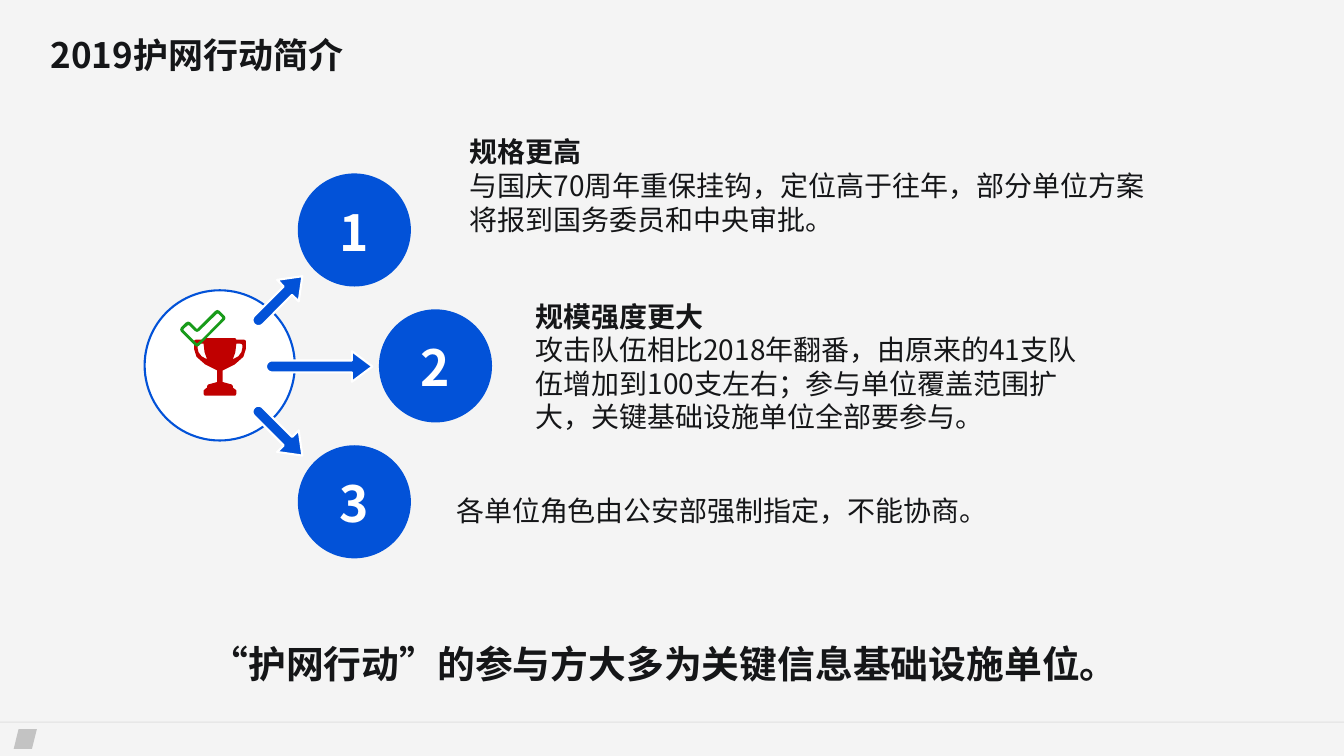
import math
from lxml import etree
from pptx import Presentation, util as u
from pptx.dml.color import RGBColor
from pptx.enum import shapes, text
from pptx.oxml.ns import qn

FONT = "Noto Sans CJK SC"
COLORS = {"background": "F4F4F4", "ink": "151618", "blue": "0252D8", "white": "FFFFFF",
          "red": "C00000", "green": "189B1A", "black": "000000"}

TITLE = "2019护网行动简介"
CONCLUSION = "“护网行动”的参与方大多为关键信息基础设施单位。"
POINTS = [
    {"circle_left": 15.01, "box": (23.22, 7.14, 35.86, 4.39), "heading": "规格更高", "heading_line": 48,
     "body": "与国庆70周年重保挂钩，定位高于往年，部分单位方案将报到国务委员和中央审批。", "body_line": 48},
    {"circle_left": 19.1, "box": (26.54, 15.7, 28.45, 4.67), "heading": "规模强度更大", "heading_line": 72,
     "body": "攻击队伍相比2018年翻番，由原来的41支队伍增加到100支左右；参与单位覆盖范围扩大，关键基础设施单位全部要参与。",
     "body_line": 48},
    {"circle_left": 15.01, "box": (22.53, 24.28, 30.15, 2.03), "heading": None,
     "body": "各单位角色由公安部强制指定，不能协商。", "body_line": 72},
]
CIRCLE_SIZE, CIRCLE_TOP, CIRCLE_STEP = 5.7, 8.74, 6.85
ARROWS = [(18.77, 18.47, 0, 5.36), (15.24, 22.96, 45, 3.43), (15.24, 13.92, -45, 3.43)]

CUP_UNIT = 0.0254
CUP_AXIS = 436.5
CUP_LEFT = [(407, 671), (405, 672), (404, 674), (389, 674), (386, 675), (385, 678), (385, 692),
            (390, 708), (407, 723), (431, 735), (431, 758), (413, 763), (411, 766), (411, 769),
            (407, 772), (404, 775), (404, 781), (405, 784), (407, 785)]
CUP_HANDLE = [(392, 690), (392, 685), (393, 683), (396, 682), (404, 682), (406, 699), (411, 713),
              (400, 707), (394, 699)]
TICK = [
    [(446, 635), (395, 686), (391, 688), (387, 686), (359, 658), (357.5, 654), (359, 650),
     (369, 640), (373.5, 638), (378, 640), (391, 653), (427, 617), (431.5, 615), (436, 617),
     (446, 627), (447.5, 631)],
    [(440, 629), (434, 623), (432, 622), (430, 623), (395, 657), (391, 658.5), (387, 657),
     (376, 646), (374, 645), (372, 646), (365, 652), (364, 654), (365, 656), (389, 680),
     (391, 681.5), (393, 680), (400, 674), (440, 633), (441, 631)],
]


def color(name):
    return RGBColor.from_string(COLORS[name])


def paint(shape, fill, line=None, alpha=None):
    shape.shadow.inherit = False
    shape.fill.solid()
    shape.fill.fore_color.rgb = color(fill)
    if alpha:
        tint = shape.fill._xPr.find(".//" + qn("a:srgbClr"))
        etree.SubElement(tint, qn("a:alpha")).set("val", str(alpha * 1000))
    if line:
        shape.line.color.rgb = color(line)
        shape.line.width = u.Pt(3)
    else:
        shape.line.fill.background()
    return shape


def add_preset(slide, kind, box, **style):
    return paint(slide.shapes.add_shape(kind, *map(u.Cm, box)), **style)


def add_outline(slide, contours, unit=1, **style):
    builder = None
    for contour in contours:
        points = [(u.Cm(x * unit), u.Cm(y * unit)) for x, y in contour]
        if builder is None:
            builder = slide.shapes.build_freeform(*points[0])
        else:
            builder.move_to(*points[0])
        builder.add_line_segments(points[1:], close=True)
    return paint(builder.convert_to_shape(), **style)


def add_text(slide, box, paragraphs, size, ink="ink", align=text.PP_ALIGN.LEFT,
             anchor=text.MSO_ANCHOR.TOP, insets=(0.25, 0.13)):
    frame = slide.shapes.add_textbox(*map(u.Cm, box)).text_frame
    frame.word_wrap = True
    frame.vertical_anchor = anchor
    frame.margin_left = frame.margin_right = u.Cm(insets[0])
    frame.margin_top = frame.margin_bottom = u.Cm(insets[1])
    for index, (words, bold, line_height) in enumerate(paragraphs):
        paragraph = frame.paragraphs[0] if index == 0 else frame.add_paragraph()
        paragraph.alignment = align
        paragraph.line_spacing = u.Pt(line_height)
        run = paragraph.add_run()
        run.text = words
        run.font.size, run.font.bold, run.font.name = u.Pt(size), bold, FONT
        run.font.color.rgb = color(ink)
        etree.SubElement(run.font._element, qn("a:ea")).set("typeface", FONT)


def mirror(points):
    return [(2 * CUP_AXIS - x, y) for x, y in reversed(points)]


def arrow_outline(tip_x, tip_y, degrees, length, shaft=0.3, head=1.03, head_half=0.77):
    tail = [(-length + shaft - shaft * math.sin(math.radians(turn)), shaft * math.cos(math.radians(turn)))
            for turn in range(0, 181, 15)]
    local = [(0, 0), (-head, head_half), (-head, shaft), *tail, (-head, -shaft), (-head, -head_half)]
    cosine, sine = math.cos(math.radians(degrees)), math.sin(math.radians(degrees))
    return [(tip_x + x * cosine - y * sine, tip_y + x * sine + y * cosine) for x, y in local]


def main():
    presentation = Presentation()
    presentation.slide_width, presentation.slide_height = u.Cm(67.74), u.Cm(38.1)
    slide = presentation.slides.add_slide(presentation.slide_layouts[6])
    slide.background.fill.solid()
    slide.background.fill.fore_color.rgb = color("background")
    preset = shapes.MSO_SHAPE

    add_preset(slide, preset.RECTANGLE, (0, 36.35, 67.74, 0.08), fill="black", alpha=5)
    add_preset(slide, preset.PARALLELOGRAM, (0.69, 36.75, 1.17, 0.99), fill="black", alpha=20)

    ring = add_preset(slide, preset.OVAL, (7.29, 14.63, 7.57, 7.57), fill="white", line="blue")
    cup = add_outline(slide, [CUP_LEFT + mirror(CUP_LEFT), CUP_HANDLE, mirror(CUP_HANDLE)],
                      CUP_UNIT, fill="red")
    slide.shapes.add_group_shape([ring, cup])

    circle_tops = [CIRCLE_TOP + CIRCLE_STEP * index for index in range(len(POINTS))]
    for point, top in zip(POINTS, circle_tops):
        add_preset(slide, preset.OVAL, (point["circle_left"], top, CIRCLE_SIZE, CIRCLE_SIZE), fill="blue")
    for arrow in ARROWS:
        add_outline(slide, [arrow_outline(*arrow)], fill="blue", line="white")
    add_outline(slide, TICK, CUP_UNIT, fill="green")

    for number, (point, top) in enumerate(zip(POINTS, circle_tops), 1):
        paragraphs = [(point["body"], False, point["body_line"])]
        if point["heading"]:
            paragraphs.insert(0, (point["heading"], True, point["heading_line"]))
        add_text(slide, point["box"], paragraphs, 40, anchor=text.MSO_ANCHOR.MIDDLE, insets=(0.46, 0.23))
        add_text(slide, (point["circle_left"] + 1.6, top + 1.11, 2.5, 3.3), [(str(number), True, 90)],
                 71.1, ink="white", align=text.PP_ALIGN.CENTER)

    add_text(slide, (2.39, 1.4, 59.64, 2.41), [(TITLE, True, 64)], 50, insets=(0.15, 0.15))
    add_text(slide, (6.55, 30.3, 53.85, 3.89), [(CONCLUSION, True, 118)], 54, align=text.PP_ALIGN.CENTER)
    presentation.save("out.pptx")


if __name__ == "__main__":
    main()
